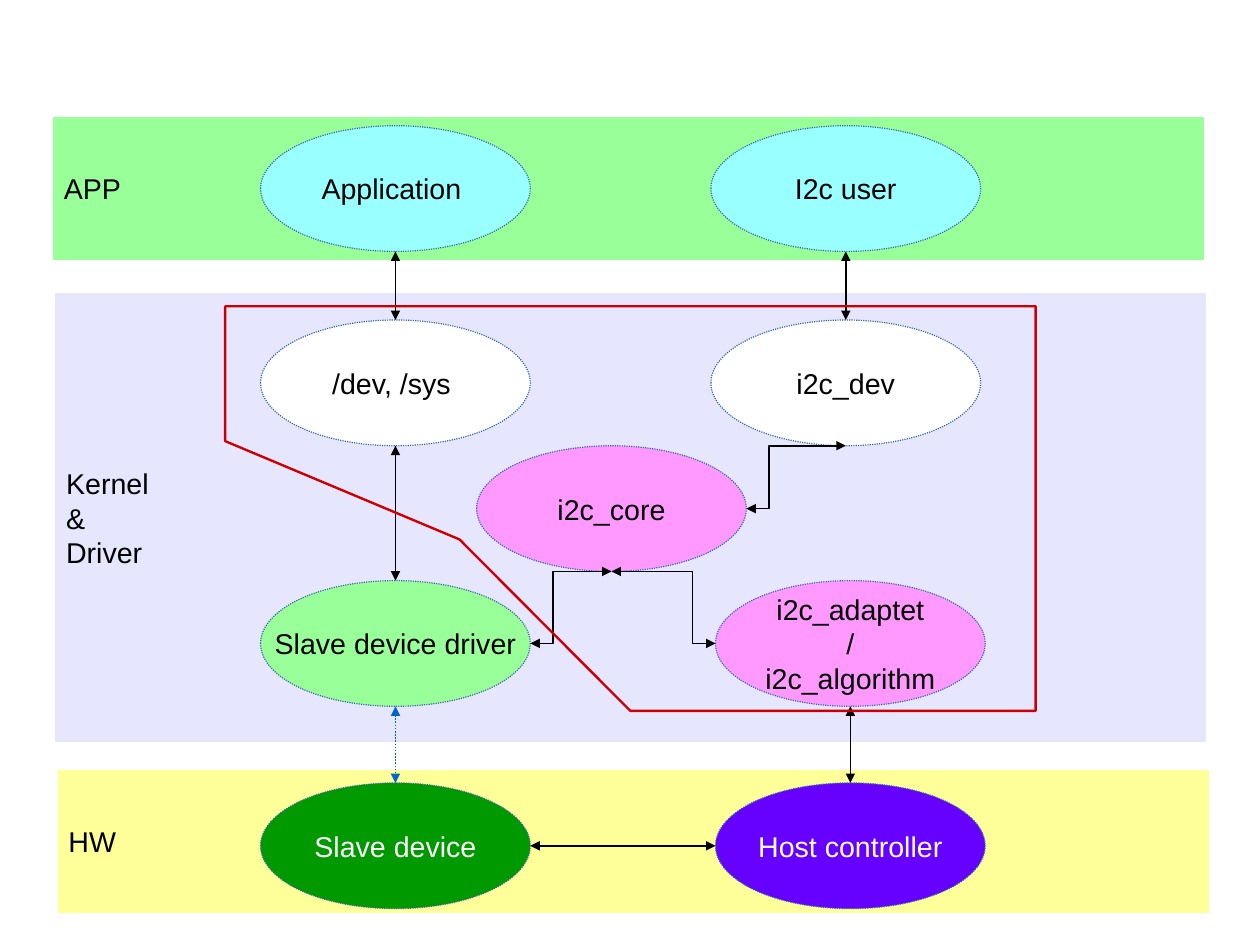
from pptx import Presentation
from pptx.dml.color import RGBColor
from pptx.enum.dml import MSO_LINE as Dash
from pptx.enum.shapes import MSO_CONNECTOR as Link, MSO_SHAPE as Shape
from pptx.enum.text import MSO_ANCHOR as Anchor, PP_ALIGN as Align
from pptx.oxml.ns import qn
from pptx.util import Cm, Inches, Pt
from lxml.etree import SubElement as add_sub

WIDE, HIGH = Cm(28), Cm(21)
BAND = 10.08
OVAL = (2.36, 1.1)


def hue(code):
    return RGBColor.from_string(code)


def write(shape, text, color, align, wrap):
    frame = shape.text_frame
    frame.word_wrap = wrap
    frame.vertical_anchor = Anchor.MIDDLE
    for i, words in enumerate(text.split("\n")):
        para = frame.add_paragraph() if i else frame.paragraphs[0]
        para.alignment = align
        run = para.add_run()
        run.text = words
        run.font.name = "Arial"
        run.font.size = Pt(18)
        run.font.color.rgb = hue(color)


def block(slide, kind, box, fill, edge):
    shape = slide.shapes.add_shape(kind, *map(Inches, box))
    shape.shadow.inherit = False
    shape.fill.solid()
    shape.fill.fore_color.rgb = hue(fill)
    shape.line.color.rgb = hue(edge)
    shape.line.width = Pt(0)
    return shape


def layer(slide, box, label, fill, nodes):
    left, top = box[:2]
    band = block(slide, Shape.RECTANGLE, box, fill, "FFFFFF")
    write(band, label, "000000", Align.LEFT, True)
    spots = []
    wide, high = OVAL
    for x, y, text, tint, ink in nodes:
        mid, row = left + x, top + y
        place = (mid - wide / 2, row - high / 2, wide, high)
        oval = block(slide, Shape.OVAL, place, tint, "3465A4")
        oval.line.dash_style = Dash.ROUND_DOT
        write(oval, text, ink, Align.CENTER, False)
        spots.append((mid, row))
    return spots


def side(spot, name):
    dx, dy = {"top": (0, -1), "base": (0, 1),
              "left": (-1, 0), "right": (1, 0)}[name]
    return spot[0] + dx * OVAL[0] / 2, spot[1] + dy * OVAL[1] / 2


def arrow(slide, start, end, bend=None, color="000000", dash=None):
    kind = Link.ELBOW if bend else Link.STRAIGHT
    line = slide.shapes.add_connector(kind, *map(Inches, start + end))
    line.line.color.rgb = hue(color)
    line.line.width = Pt(1)
    if dash:
        line.line.dash_style = dash
    props = line._element.spPr
    if bend:
        guides = props.find(qn("a:prstGeom")).get_or_add_avLst()
        share = round(100000 * bend / abs(end[0] - start[0]))
        add_sub(guides, qn("a:gd"), name="adj1", fmla=f"val {share}")
    for tip in ("a:headEnd", "a:tailEnd"):
        add_sub(line.line._get_or_add_ln(), qn(tip), type="triangle")
    add_sub(props, qn("a:effectLst"))


def fence(slide, box):
    left, top, wide, high = box
    right, base = left + wide, top + high
    points = [(right, top), (right, base), (left + wide / 2, base),
              (left + 2.05, top + 2.04), (left, top + high / 3)]
    form = slide.shapes.build_freeform(Inches(left), Inches(top))
    form.add_line_segments([(Inches(x), Inches(y)) for x, y in points])
    shape = form.convert_to_shape()
    shape.shadow.inherit = False
    shape.fill.background()
    shape.line.color.rgb = hue("CC0000")
    shape.line.width = Pt(1.5)


def main():
    deck = Presentation()
    deck.slide_width, deck.slide_height = WIDE, HIGH
    slide = deck.slides.add_slide(deck.slide_layouts[6])
    black, white = "000000", "FFFFFF"

    dev, i2c, core, driver, bus = layer(
        slide, (0.48, 2.56, BAND, 3.94), "Kernel\n&\nDriver", "E6E6FF", [
            (2.98, 0.79, "/dev, /sys ", white, black),
            (6.92, 0.79, "i2c_dev", white, black),
            (4.87, 1.89, "i2c_core", "FF99FF", black),
            (2.98, 3.07, "Slave device driver", "99FF99", black),
            (6.96, 3.07, "i2c_adaptet\n/\ni2c_algorithm", "FF99FF", black)])
    app, user = layer(
        slide, (0.46, 1.02, BAND, 1.26), "APP", "99FF99", [
            (3, 0.63, "Application ", "99FFFF", black),
            (6.94, 0.63, "I2c user", "99FFFF", black)])
    slave, host = layer(
        slide, (0.5, 6.73, BAND, 1.26), "HW", "FFFF99", [
            (2.96, 0.67, "Slave device", "009900", white),
            (6.94, 0.67, "Host controller", "6600FF", white)])

    for upper, lower in ((app, dev), (user, i2c), (dev, driver), (bus, host)):
        arrow(slide, side(lower, "top"), side(upper, "base"))
    arrow(slide, side(driver, "base"), side(slave, "top"),
          color="0066CC", dash=Dash.ROUND_DOT)
    arrow(slide, side(slave, "right"), side(host, "left"))
    for start, end in ((side(driver, "right"), side(core, "base")),
                       (side(bus, "left"), side(core, "base")),
                       (side(core, "right"), side(i2c, "base"))):
        arrow(slide, start, end, bend=0.2)

    fence(slide, (1.97, 2.68, 7.09, 3.54))
    deck.save("out.pptx")


if __name__ == "__main__":
    main()
